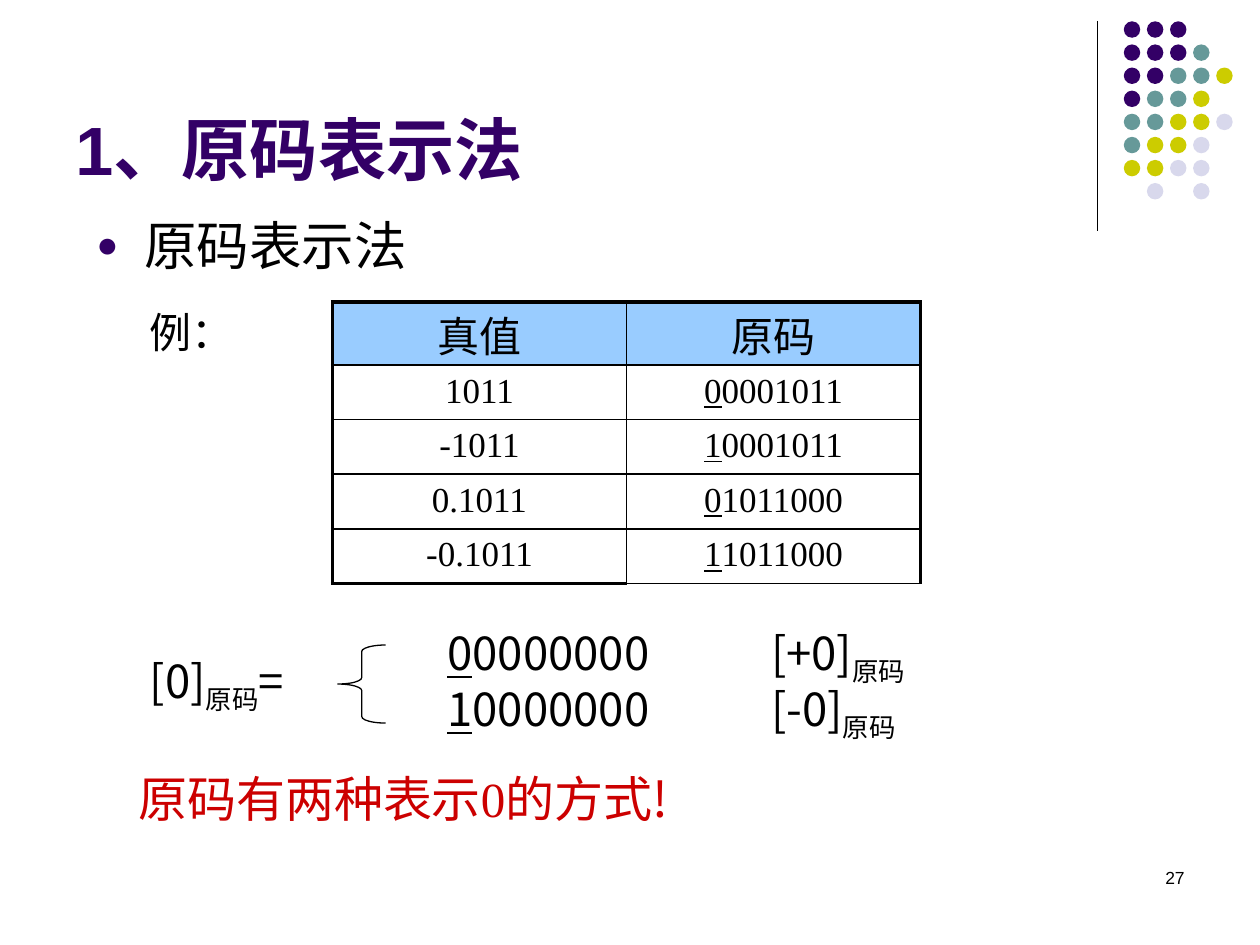
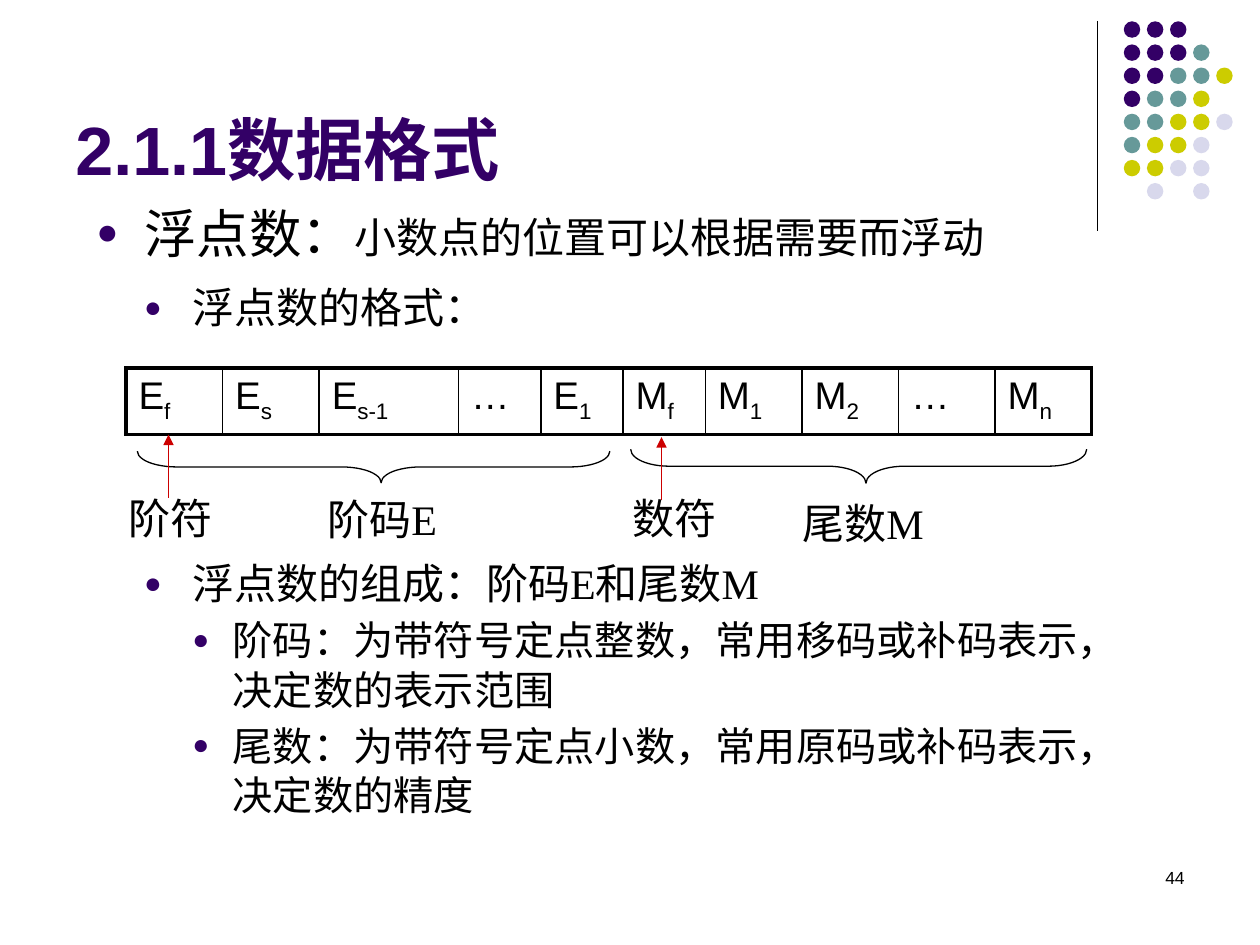
from lxml import etree
from pptx import Presentation
from pptx.dml.color import RGBColor
from pptx.enum.shapes import MSO_CONNECTOR, MSO_SHAPE
from pptx.enum.text import MSO_ANCHOR, PP_ALIGN
from pptx.oxml.ns import qn
from pptx.util import Pt

BLACK = RGBColor(0x00, 0x00, 0x00)
PURPLE = RGBColor(0x33, 0x00, 0x66)
TEAL = RGBColor(0x66, 0x99, 0x99)
LIME = RGBColor(0xCC, 0xCC, 0x00)
LILAC = RGBColor(0xD8, 0xD8, 0xEC)
RED = RGBColor(0xCC, 0x00, 0x00)
BLUE = RGBColor(0x99, 0xCC, 0xFF)

OVAL, BRACE = MSO_SHAPE.OVAL, MSO_SHAPE.LEFT_BRACE
LINE = MSO_CONNECTOR.STRAIGHT
TOP, BOTTOM = MSO_ANCHOR.TOP, MSO_ANCHOR.BOTTOM
LEFT, MID, RIGHT = PP_ALIGN.LEFT, PP_ALIGN.CENTER, PP_ALIGN.RIGHT

ARIAL, TIMES, NOTO = "Arial", "Times New Roman", "Noto Sans CJK SC"
SERIF = {"name": TIMES}
UNDER = {"underline": True}
SUB = {"base": -25}

DOTS = ["DDD", "DDDT", "DDTTY", "DTTY", "TTYYL", "TYYL", "YYLL", " L L"]
HUES = {"D": PURPLE, "T": TEAL, "Y": LIME, "L": LILAC}


def child(parent, tag, **attrs):
    node = etree.SubElement(parent, qn(tag))
    for key, val in attrs.items():
        node.set(key, str(val))
    return node


class Deck:
    """Holds the house style and the slide being drawn."""

    def __init__(self):
        self.prs = Presentation()
        self.prs.slide_width, self.prs.slide_height = Pt(720), Pt(540)
        self.slide = None

    def start(self, title, number):
        self.slide = self.prs.slides.add_slide(self.prs.slide_layouts[6])
        self.line(627, 12, 627, 132)
        for row, marks in enumerate(DOTS):
            for col, mark in enumerate(marks):
                if mark in HUES:
                    self.dot(642.2 + 13.2 * col, 12.2 + 13.2 * row, HUES[mark])
        self.text((36, 9.4, 594, 102.2), [title], anchor=BOTTOM,
                  size=39, bold=True, color=PURPLE)
        self.text((516, 492, 168, 36), [number], align=RIGHT, size=10)

    def dot(self, x, y, color):
        dot = self.slide.shapes.add_shape(OVAL, Pt(x), Pt(y), Pt(9.4), Pt(9.4))
        dot.shadow.inherit = False
        dot.fill.solid()
        dot.fill.fore_color.rgb = color
        dot.line.fill.background()

    def line(self, x1, y1, x2, y2, color=BLACK, arrow=False):
        line = self.slide.shapes.add_connector(LINE, Pt(x1), Pt(y1), Pt(x2), Pt(y2))
        line.line.color.rgb = color
        line.line.width = Pt(0.75)
        if arrow:
            child(line.line._get_or_add_ln(), "a:tailEnd", type="triangle")
        child(line._element.spPr, "a:effectLst")

    def brace(self, box, curl, point, turn=0):
        brace = self.slide.shapes.add_shape(BRACE, *map(Pt, box))
        brace.shadow.inherit = False
        brace.fill.background()
        brace.line.color.rgb = BLACK
        brace.line.width = Pt(0.75)
        brace.adjustments[0], brace.adjustments[1] = curl, point
        brace.rotation = turn

    def frame(self, box, anchor=TOP):
        frame = self.slide.shapes.add_textbox(*map(Pt, box)).text_frame
        frame.word_wrap = True
        frame.vertical_anchor = anchor
        return frame

    def fill(self, para, runs, align=LEFT, lead=None, before=0, **style):
        """Write runs, each a string or a (string, changes) pair."""
        para.alignment = align
        para.space_before = Pt(before)
        if lead:
            para.line_spacing = Pt(lead)
        for item in runs:
            words, extra = item if isinstance(item, tuple) else (item, {})
            look = {"name": ARIAL, "color": BLACK, **style, **extra}
            run = para.add_run()
            run.text = words
            run.font.color.rgb = look.pop("color")
            base = look.pop("base", 0)
            look["size"] = Pt(look["size"])
            for key, val in look.items():
                setattr(run.font, key, val)
            props = run._r.get_or_add_rPr()
            if base:
                props.set("baseline", str(base * 1000))
            if look["name"] == NOTO:
                child(props, "a:ea", typeface=NOTO)

    def text(self, box, runs, anchor=TOP, **style):
        self.fill(self.frame(box, anchor).paragraphs[0], runs, **style)

    def label(self, x, y, width, runs, size=24, **style):
        self.text((x, y, width, size * 1.5), runs, size=size,
                  lead=round(size * 1.3), **style)

    def lines(self, box, rows, stops, **style):
        """Rows of text with shared tab stops."""
        frame = self.frame(box)
        for num, runs in enumerate(rows):
            para = frame.add_paragraph() if num else frame.paragraphs[0]
            tabs = child(para._p.get_or_add_pPr(), "a:tabLst")
            for stop in stops:
                child(tabs, "a:tab", pos=Pt(stop), algn="l")
            self.fill(para, runs, **style)

    def body(self, box, items):
        """Bulleted list; an item is (level, space before, runs)."""
        levels = [(27.4, 27.4, 30, 45), (54.7, 27.4, 24, 35), (77.8, 23, 23, 28)]
        frame = self.frame(box)
        for num, (level, before, runs) in enumerate(items):
            para = frame.add_paragraph() if num else frame.paragraphs[0]
            indent, hang, size, lead = levels[level]
            props = para._p.get_or_add_pPr()
            props.set("marL", str(Pt(indent)))
            props.set("indent", str(-Pt(hang)))
            child(child(props, "a:buClr"), "a:srgbClr", val=PURPLE)
            child(props, "a:buSzPct", val=70000)
            child(props, "a:buFont", typeface=ARIAL)
            child(props, "a:buChar", char="●")
            self.fill(para, runs, size=size, lead=lead, before=before)

    def table(self, x, y, cols, rows, cells, styles, head=None):
        """Grid with a heavy frame; styles holds one text style per row."""
        grid = self.slide.shapes.add_table(len(rows), len(cols), Pt(x), Pt(y),
                                           Pt(sum(cols)), Pt(sum(rows))).table
        grid.first_row = grid.horz_banding = False
        for col, width in zip(grid.columns, cols):
            col.width = Pt(width)
        for row, height in zip(grid.rows, rows):
            row.height = Pt(height)
        for r, line in enumerate(cells):
            for c, runs in enumerate(line):
                cell = grid.cell(r, c)
                cell.margin_top, cell.margin_bottom = Pt(4), 0
                outer = {"L": c == 0, "R": c == len(cols) - 1,
                         "T": r == 0, "B": r == len(rows) - 1}
                for side, heavy in outer.items():
                    self.edge(cell, side, 2.25 if heavy else 1)
                if head and r == 0:
                    cell.fill.solid()
                    cell.fill.fore_color.rgb = head
                else:
                    cell.fill.background()
                self.fill(cell.text_frame.paragraphs[0], runs, **styles[r])
        return grid

    def edge(self, cell, side, width):
        edge = child(cell._tc.get_or_add_tcPr(), "a:ln" + side, w=Pt(width))
        child(child(edge, "a:solidFill"), "a:srgbClr", val=BLACK)


def code(bits):
    """Runs with the sign bit underlined."""
    return [(bits[0], UNDER), bits[1:]]


def sign_slide(deck):
    deck.start("1、原码表示法", "27")
    deck.body((48, 109.4, 582, 360), [(0, 0, ["原码表示法"])])
    deck.label(78.5, 169.2, 96, ["例："], name=TIMES)

    pairs = [("1011", "00001011"), ("-1011", "10001011"),
             ("0.1011", "01011000"), ("-0.1011", "11011000")]
    cells = [[["真值"], ["原码"]]] + [[[num], code(bits)] for num, bits in pairs]
    head = {"size": 24, "align": MID, "lead": 32}
    data = {"size": 20, "align": MID, "lead": 22, "name": TIMES}
    grid = deck.table(190, 172.6, [168] * 2, [36] + [31.2] * 4, cells,
                      [head] + [data] * 4, BLUE)
    last = grid.cell(4, 1)._tc.tcPr.find(qn("a:lnB"))
    last.set("w", str(Pt(1)))

    tag = ("原码", SUB)
    deck.lines((78.5, 373, 528, 56),
               [["\t", *code("00000000"), "\t[+0]", tag],
                ["[0]", tag, "="],
                ["\t", *code("10000000"), "\t[-0]", tag]],
               [170, 355], size=26, name=NOTO, lead=16)
    deck.brace((193, 368.6, 27.4, 44.6), 0.135, 0.5)
    deck.label(72, 433.4, 522, ["原码有两种表示", ("0", SERIF), "的方式!"],
               size=28, name=NOTO, color=RED)


def float_slide(deck):
    deck.start("2.1.1数据格式", "44")
    deck.body((48, 102.2, 606, 396), [
        (0, 0, ["浮点数：", ("小数点的位置可以根据需要而浮动", {"size": 24})]),
        (1, 4, ["浮点数的格式："]),
        (1, 122.7, ["浮点数的组成：阶码", ("E", SERIF), "和尾数", ("M", SERIF)]),
        (2, 4, ["阶码：为带符号定点整数，常用移码或补码表示，决定数的表示范围"]),
        (2, 4, ["尾数：为带符号定点小数，常用原码或补码表示，决定数的精度"])])

    names = ["Ef", "Es", "Es-1", "…", "E1", "Mf", "M1", "M2", "…", "Mn"]
    cells = [[name[0], (name[1:], SUB)] if name[1:] else [name] for name in names]
    cols = [55.2] * 2 + [79.7] + [47] * 3 + [55.2] * 4
    deck.table(72, 210.2, cols, [38.2], [cells], [{"size": 22}])

    deck.brace((204.5, 131.8, 18, 270), 1.25, 0.516, 270)
    deck.brace((481, 136.1, 19.4, 260.6), 1.133, 0.516, 270)
    for x, y, runs in [(180, 276.5, ["阶码", ("E", SERIF)]),
                       (451.4, 278.6, ["尾数", ("M", SERIF)]),
                       (66.2, 275.8, ["阶符"]),
                       (354.2, 275.8, ["数符"])]:
        deck.label(x, y, 110, runs, name=NOTO)
    for x, y in [(96.3, 284.4), (378, 285.8)]:
        deck.line(x, y, x, y - 36, RED, arrow=True)


def main():
    deck = Deck()
    sign_slide(deck)
    float_slide(deck)
    deck.prs.save("out.pptx")


if __name__ == "__main__":
    main()
